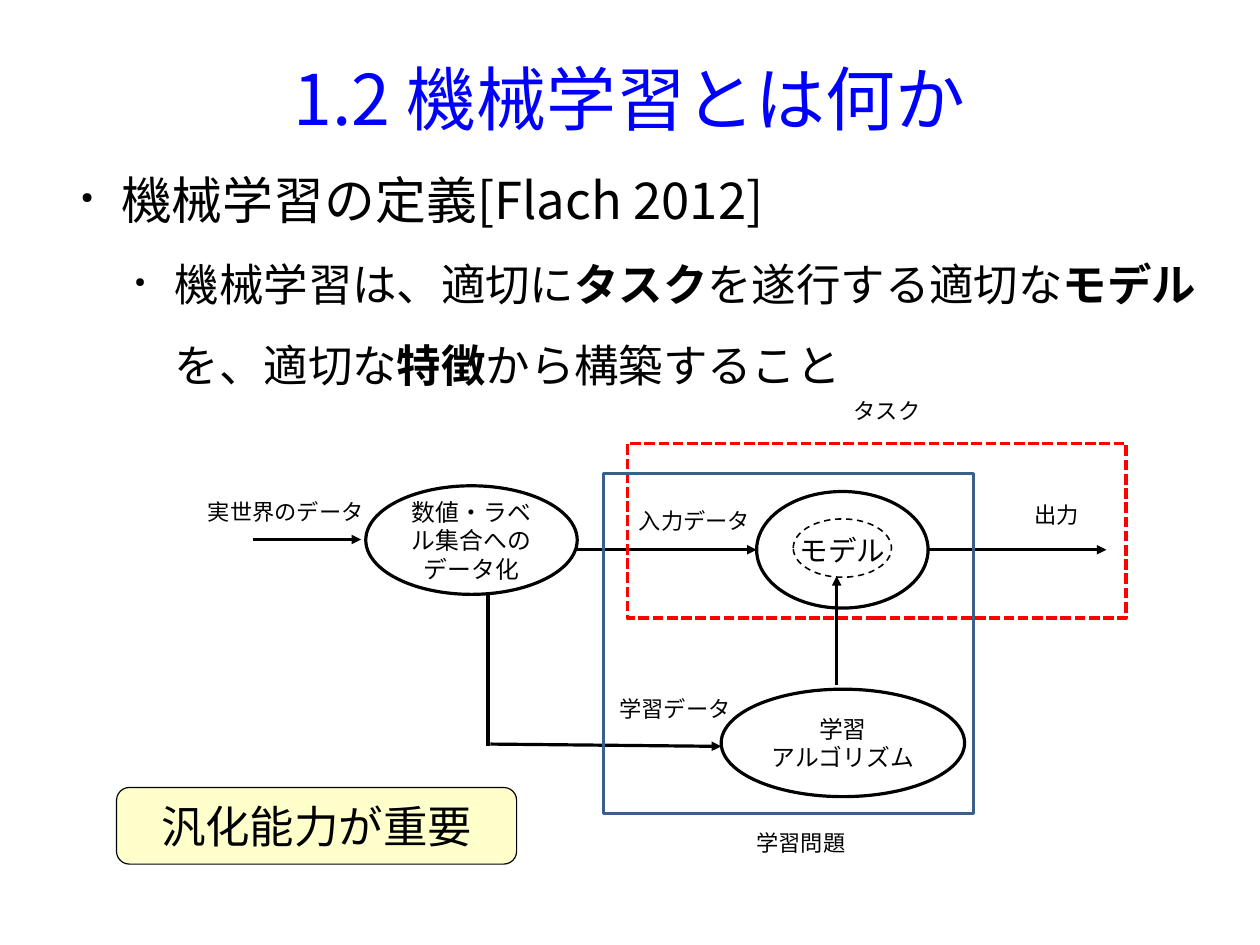
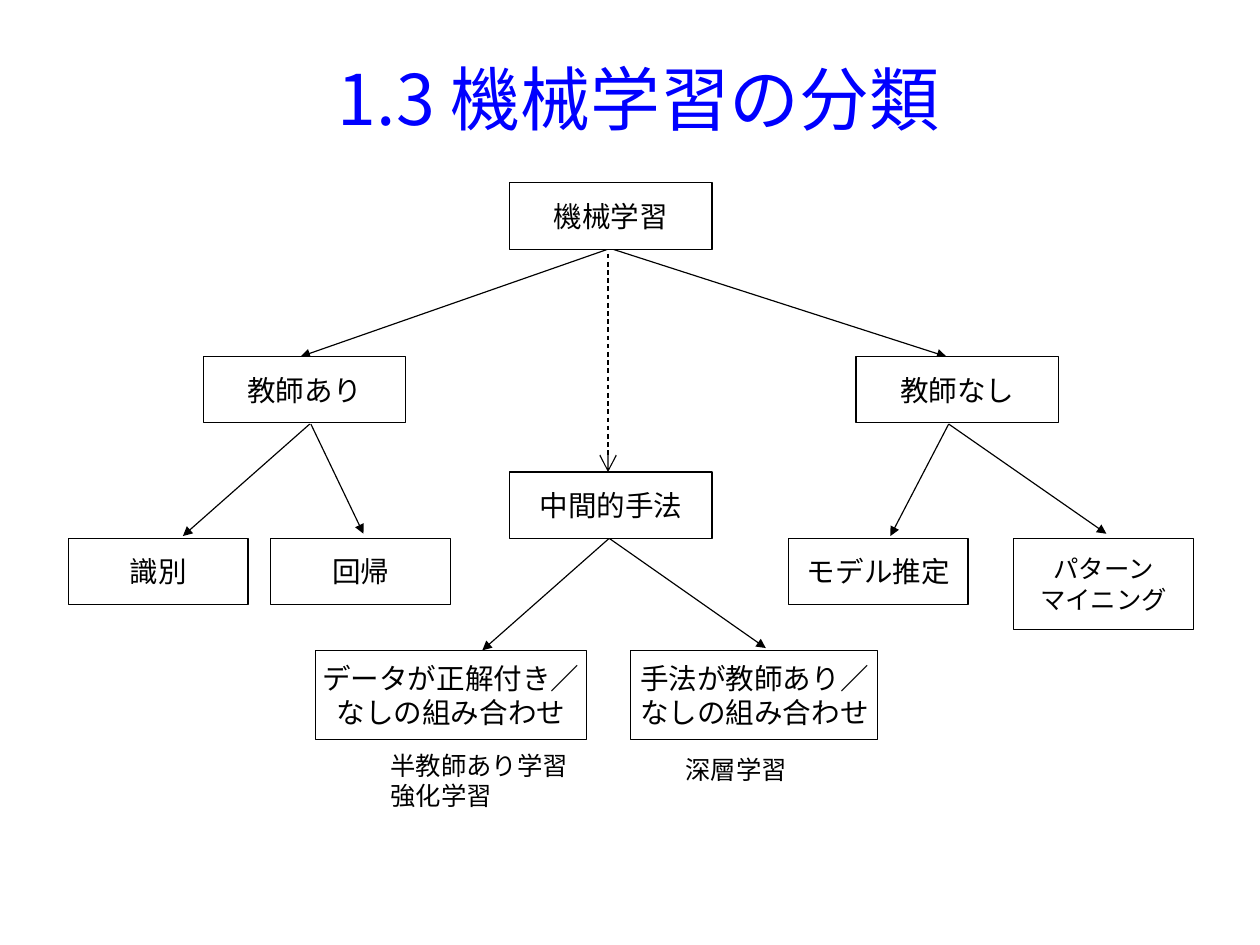
import pptx
import pptx.dml.color
import pptx.enum.dml
import pptx.enum.shapes
import pptx.enum.text
import pptx.oxml.ns
import pptx.util
from lxml import etree

Inches = pptx.util.Inches
Pt = pptx.util.Pt
Shape = pptx.enum.shapes.MSO_SHAPE
Align = pptx.enum.text.PP_ALIGN
Anchor = pptx.enum.text.MSO_ANCHOR
Dash = pptx.enum.dml.MSO_LINE
qn = pptx.oxml.ns.qn

FONT = "Noto Sans CJK JP"
COLORS = {
    "title": "0000FF",
    "ink": "000000",
    "paper": "FFFFFF",
    "callout": "FFFFCC",
    "task": "FF0000",
    "problem": "3A5F8B",
}


def color(name):
    return pptx.dml.color.RGBColor.from_string(COLORS[name])


def add_spans(para, text, size, ink="ink"):
    """Add runs to the paragraph; ** marks switch bold on and off."""
    for index, words in enumerate(text.split("**")):
        span = para.add_run()
        span.text = words
        span.font.size = Pt(size)
        span.font.name = FONT
        span.font.bold = index % 2 == 1
        span.font.color.rgb = color(ink)
        etree.SubElement(span.font._element, qn("a:ea"), typeface=FONT)


def set_frame(box, anchor=Anchor.TOP, wrap=True, inset=(0.1, 0.05)):
    frame = box.text_frame
    frame.word_wrap = wrap
    frame.vertical_anchor = anchor
    frame.margin_left = frame.margin_right = Inches(inset[0])
    frame.margin_top = frame.margin_bottom = Inches(inset[1])
    return frame


def add_paragraphs(frame, count):
    return [frame.paragraphs[0]] + [frame.add_paragraph() for _ in range(count - 1)]


def write_text(box, text, size, ink="ink", align=Align.LEFT, **frame_format):
    """Fill the box with one paragraph for each line of text."""
    lines = text.split("\n")
    frame = set_frame(box, **frame_format)
    for para, line in zip(add_paragraphs(frame, len(lines)), lines):
        para.alignment = align
        add_spans(para, line, size, ink)


def add_text(page, place, text, size, **text_format):
    box = page.shapes.add_textbox(*map(Inches, place))
    write_text(box, text, size, **text_format)


def add_title(page, text, width):
    add_text(page, (0.55, 0.33, width, 1.05), text, 44, ink="title",
             align=Align.CENTER, anchor=Anchor.MIDDLE, inset=(0, 0))


def add_bullets(page, place, items):
    """Write (size, text) items as bullets, each one level deeper."""
    box = page.shapes.add_textbox(*map(Inches, place))
    paras = add_paragraphs(set_frame(box, inset=(0, 0)), len(items))
    for level, (para, (size, text)) in enumerate(zip(paras, items)):
        para.level = level
        para.line_spacing = Pt(51)
        props = para._p.get_or_add_pPr()
        props.set("marL", str(Inches(0.47 * (level + 1))))
        props.set("indent", str(Inches(-0.35)))
        bullet_color = etree.SubElement(props, qn("a:buClr"))
        etree.SubElement(bullet_color, qn("a:srgbClr"), val=COLORS["ink"])
        etree.SubElement(props, qn("a:buSzPct"), val="30000")
        etree.SubElement(props, qn("a:buChar"), char="●")
        add_spans(para, text, size)


def add_outline(page, kind, place, text="", size=18, fill=None, line="ink",
                weight=2, dash=None, wrap=True):
    shape = page.shapes.add_shape(kind, *map(Inches, place))
    shape.shadow.inherit = False
    if fill:
        shape.fill.solid()
        shape.fill.fore_color.rgb = color(fill)
    else:
        shape.fill.background()
    shape.line.color.rgb = color(line)
    shape.line.width = Pt(weight)
    if dash:
        shape.line.dash_style = dash
    if text:
        write_text(shape, text, size, align=Align.CENTER,
                   anchor=Anchor.MIDDLE, wrap=wrap)


def add_node(page, place, text, size=18):
    add_outline(page, Shape.RECTANGLE, place, text, size, fill="paper",
                weight=0, wrap=False)


def add_line(page, start, end, weight=2, head="triangle", head_size="med",
             dash=None):
    line = page.shapes.add_connector(
        pptx.enum.shapes.MSO_CONNECTOR.STRAIGHT, *map(Inches, start + end))
    line.line.color.rgb = color("ink")
    line.line.width = Pt(weight)
    if dash:
        line.line.dash_style = dash
    if head:
        etree.SubElement(line.line._get_or_add_ln(), qn("a:tailEnd"),
                         type=head, w=head_size, len=head_size)
    etree.SubElement(line._element.spPr, qn("a:effectLst"))


def build_definition(page):
    add_title(page, "1.2 機械学習とは何か", 9.92)
    add_bullets(page, (0.59, 1.3, 9.92, 5.16), [
        (32, "機械学習の定義[Flach 2012]"),
        (28, "機械学習は、適切に**タスク**を遂行する適切な**モデル**を、"
             "適切な**特徴**から構築すること"),
    ])
    add_outline(page, Shape.ROUNDED_RECTANGLE, (1.02, 6.89, 3.5, 0.67),
                "汎化能力が重要", 28, fill="callout", weight=0, wrap=False)

    for place, text, size in [
        ((3.2, 4.25, 1.85, 0.95), "数値・ラベル集合へのデータ化", 15),
        ((6.62, 4.3, 1.5, 1.02), "モデル", 18),
        ((6.31, 6.03, 2.13, 0.94), "学習\nアルゴリズム", 15),
    ]:
        add_outline(page, Shape.OVAL, place, text, size)

    for start, end in [
        ((2.21, 4.72), (3.16, 4.72)),
        ((5.05, 4.81), (6.62, 4.81)),
        ((8.12, 4.81), (9.68, 4.81)),
        ((4.29, 6.51), (6.31, 6.53)),
        ((7.32, 5.99), (7.32, 5.04)),
    ]:
        add_line(page, start, end)
    add_line(page, (4.27, 5.21), (4.27, 6.53), head=None)

    add_outline(page, Shape.RECTANGLE, (5.49, 3.88, 4.36, 1.53),
                line="task", weight=2.25, dash=Dash.SQUARE_DOT)
    add_outline(page, Shape.RECTANGLE, (5.28, 4.14, 3.24, 2.98), line="problem")
    add_outline(page, Shape.OVAL, (6.94, 4.54, 0.86, 0.51), weight=1,
                dash=Dash.DASH)

    for left, top, width, text in [
        (1.72, 4.31, 1.6, "実世界のデータ"),
        (5.49, 4.39, 1.21, "入力データ"),
        (8.95, 4.34, 0.63, "出力"),
        (5.32, 6.03, 1.21, "学習データ"),
        (7.37, 3.43, 0.82, "タスク"),
        (6.52, 7.21, 1.02, "学習問題"),
    ]:
        add_text(page, (left, top, width, 0.33), text, 14)


def build_taxonomy(page):
    add_title(page, "1.3 機械学習の分類", 10.08)

    for start, end in [
        ((5.32, 2.18), (2.63, 3.12)),
        ((5.36, 2.18), (8.28, 3.12)),
        ((2.71, 3.71), (1.6, 4.69)),
        ((2.72, 3.71), (3.18, 4.67)),
        ((8.3, 3.71), (7.79, 4.69)),
        ((8.3, 3.71), (9.68, 4.67)),
        ((5.33, 4.71), (4.22, 5.69)),
        ((5.33, 4.71), (6.7, 5.67)),
    ]:
        add_line(page, start, end, weight=0.75)
    add_line(page, (5.32, 2.22), (5.32, 4.13), weight=0.75, head="arrow",
             head_size="lg", dash=Dash.DASH)

    for left, top, text in [
        (4.46, 1.6, "機械学習"),
        (1.78, 3.12, "教師あり"),
        (7.49, 3.12, "教師なし"),
        (4.46, 4.13, "中間的手法"),
    ]:
        add_node(page, (left, top, 1.77, 0.58), text)
    for left, text in [(0.6, "識別"), (2.37, "回帰"), (6.9, "モデル推定")]:
        add_node(page, (left, 4.71, 1.57, 0.58), text)
    add_node(page, (8.87, 4.71, 1.57, 0.8), "パターン\nマイニング", 16)
    add_node(page, (2.76, 5.69, 2.37, 0.78), "データが正解付き／\nなしの組み合わせ")
    add_node(page, (5.52, 5.69, 2.16, 0.78), "手法が教師あり／\nなしの組み合わせ")

    add_text(page, (3.32, 6.51, 1.83, 0.77), "半教師あり学習\n強化学習", 16)
    add_text(page, (5.9, 6.55, 1.19, 0.43), "深層学習", 16)


def main():
    deck = pptx.Presentation()
    deck.slide_width = pptx.util.Cm(28)
    deck.slide_height = pptx.util.Cm(21)
    for build in (build_definition, build_taxonomy):
        build(deck.slides.add_slide(deck.slide_layouts[6]))
    deck.save("out.pptx")


if __name__ == "__main__":
    main()
